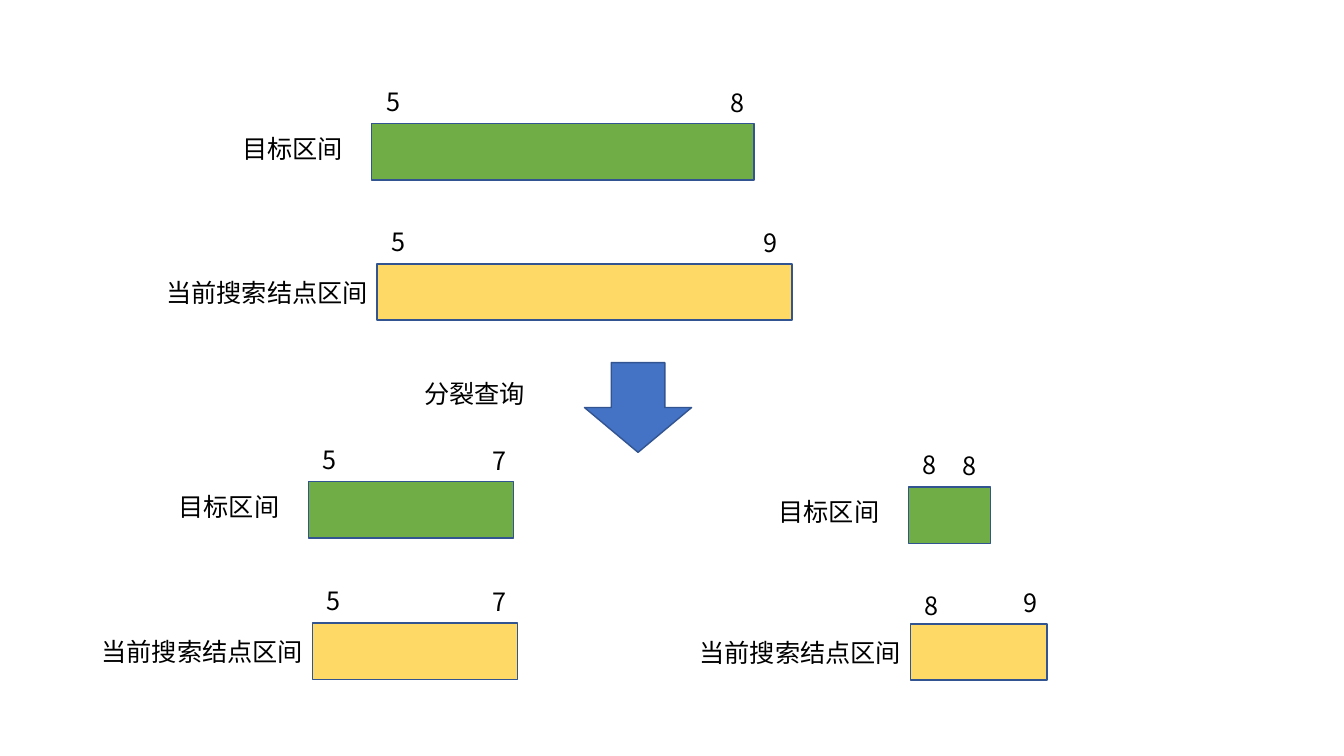
import pptx
import pptx.dml.color
import pptx.enum.shapes
import pptx.enum.text
import pptx.oxml.ns
import pptx.util
from lxml import etree
from pptx.util import Cm

FONT = "Noto Sans CJK SC"
BLACK, GREEN, YELLOW, BLUE, OUTLINE = "000000", "70AD47", "FFD966", "4472C4", "325491"
BAR_HEIGHT, TEXT_HEIGHT, NUMBER_WIDTH = 1.42, 1.02, 0.86
SHAPES = pptx.enum.shapes.MSO_SHAPE
# Label text, label width, label offset from the bar (left, down), bar colour
TARGET = ("目标区间", 3.07, 3.52, 0.12, GREEN)
NODE = ("当前搜索结点区间", 5.64, 5.56, 0.22, YELLOW)


def colour(value):
    """Turn a hex string into a colour."""
    return pptx.dml.color.RGBColor.from_string(value)


def add_text(page, text, left, top, width):
    """Add a single unwrapped line of text."""
    box = page.shapes.add_textbox(Cm(left), Cm(top), Cm(width), Cm(TEXT_HEIGHT))
    frame = box.text_frame
    frame.word_wrap = False
    frame.auto_size = pptx.enum.text.MSO_AUTO_SIZE.SHAPE_TO_FIT_TEXT
    span = frame.paragraphs[0].add_run()
    span.text = text
    span.font.size = pptx.util.Pt(18)
    span.font.name = FONT
    span.font.color.rgb = colour(BLACK)
    east_asian = etree.SubElement(span.font._element, pptx.oxml.ns.qn("a:ea"))
    east_asian.set("typeface", FONT)


def add_block(page, kind, left, top, width, height, fill):
    """Add a filled, outlined shape without text."""
    block = page.shapes.add_shape(kind, Cm(left), Cm(top), Cm(width), Cm(height))
    block.shadow.inherit = False
    block.fill.solid()
    block.fill.fore_color.rgb = colour(fill)
    block.line.color.rgb = colour(OUTLINE)
    block.line.width = pptx.util.Pt(1)


def add_interval(page, style, bounds, left, top, width, end_gap, rise=1.07):
    """Draw a bar with its label on the left and its bounds above."""
    label, label_width, label_left, label_down, fill = style
    start, end = bounds
    add_block(page, SHAPES.RECTANGLE, left, top, width, BAR_HEIGHT, fill)
    add_text(page, label, left - label_left, top + label_down, label_width)
    add_text(page, start, left + 0.11, top - rise, NUMBER_WIDTH)
    add_text(page, end, left + width - end_gap, top - 1.05, NUMBER_WIDTH)


def add_split(page, left, top):
    """Draw the split arrow and its label."""
    add_text(page, "分裂查询", left, top + 0.28, 3.07)
    add_block(page, SHAPES.DOWN_ARROW, left + 4.29, top, 2.7, 2.26, BLUE)


def main():
    """Build the interval query slide."""
    deck = pptx.Presentation()
    deck.slide_width, deck.slide_height = Cm(33.87), Cm(19.05)
    page = deck.slides.add_slide(deck.slide_layouts[6])
    add_interval(page, TARGET, "58", 9.37, 3.12, 9.63, 0.84)
    add_interval(page, NODE, "59", 9.5, 6.65, 10.46, 0.97)
    add_split(page, 10.44, 9.14)
    add_interval(page, TARGET, "57", 7.77, 12.14, 5.18, 0.79)
    add_interval(page, NODE, "57", 7.87, 15.7, 5.18, 0.89)
    add_interval(page, TARGET, "88", 22.89, 12.27, 2.08, 0.97)
    add_interval(page, NODE, "89", 22.94, 15.72, 3.45, 0.84, rise=0.97)
    deck.save("out.pptx")


if __name__ == "__main__":
    main()
